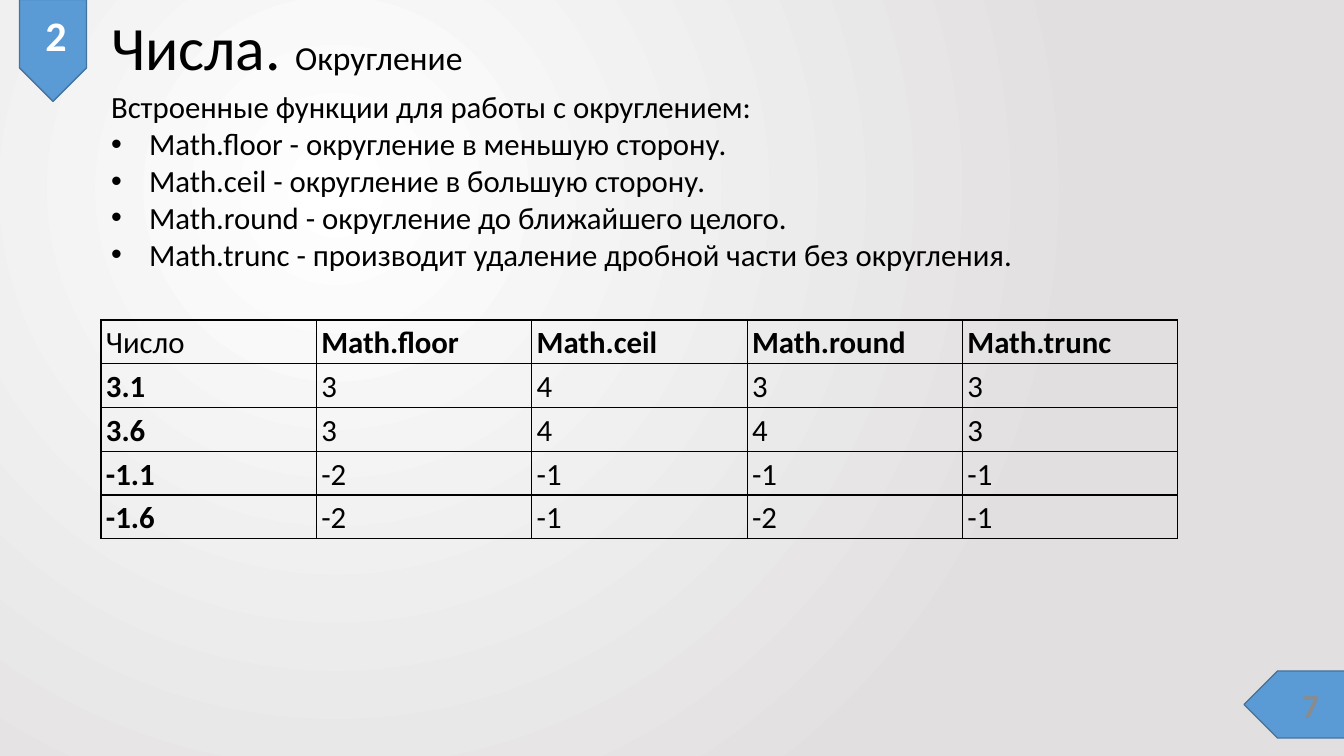
"""Build the slide on rounding functions with its table of results."""
from dataclasses import dataclass

import lxml.etree
import pptx
import pptx.dml.color
import pptx.enum.shapes
import pptx.enum.text
import pptx.oxml
import pptx.oxml.ns
import pptx.util

TITLE = [("Числа. ", "title"), ("Округление", "subtitle")]
INTRO = "Встроенные функции для работы с округлением:"
FUNCTIONS = [
    "Math.floor - округление в меньшую сторону.",
    "Math.ceil - округление в большую сторону.",
    "Math.round - округление до ближайшего целого.",
    "Math.trunc - производит удаление дробной части без округления.",
]
RESULTS = [
    ("Число", "Math.floor", "Math.ceil", "Math.round", "Math.trunc"),
    ("3.1", "3", "4", "3", "3"),
    ("3.6", "3", "4", "4", "3"),
    ("-1.1", "-2", "-1", "-1", "-1"),
    ("-1.6", "-2", "-1", "-2", "-1"),
]
BADGES = [
    {"box": (2, 17, 102, 67), "turn": 90, "label": "2", "label_box": (26, 5, 60, 62),
     "size": "section", "color": "light", "align": "CENTER"},
    {"box": (1244, 671, 102, 67), "turn": 180, "label": "7", "label_box": (1250, 680, 79, 52),
     "size": "number", "color": "muted", "align": "RIGHT"},
]
SLIDE_SIZE = (1344, 756)
TITLE_BOX = (101, 0, 1182, 102)
BODY_BOX = (101, 83, 1204, 197)
TABLE_BOX = (101, 320, 1077, 219)
BULLET_INDENT = 38
CELL_MARGINS = {"margin_left": 5, "margin_top": 2, "margin_right": 17, "margin_bottom": 2}


@dataclass(frozen=True)
class Theme:
    """Colours and type sizes of the slide."""
    font: str = "Calibri"
    text: str = "000000"
    light: str = "FFFFFF"
    muted: str = "8B8B8B"
    shade: str = "E1DFDF"
    badge: str = "5B9BD5"
    outline: str = "43739E"
    title: int = 44
    subtitle: int = 24
    body: int = 22
    section: int = 30
    number: int = 24


THEME = Theme()
ANCHOR = pptx.enum.text.MSO_ANCHOR
ALIGN = pptx.enum.text.PP_ALIGN
NAMESPACE = pptx.oxml.ns.nsdecls("a")


def px(length):
    """Turn slide pixels into EMU."""
    return pptx.util.Emu(round(length * 914400 / 100.8))


def color(name):
    """Look up a theme colour."""
    return pptx.dml.color.RGBColor.from_string(getattr(THEME, name))


def add_span(para, text, size, ink="text", bold=False):
    """Add one formatted run."""
    span = para.add_run()
    span.text = text
    span.font.name = THEME.font
    span.font.size = pptx.util.Pt(getattr(THEME, size))
    span.font.bold = bold
    span.font.color.rgb = color(ink)


def place(shape, box):
    """Move and size a shape."""
    shape.left, shape.top, shape.width, shape.height = map(px, box)


def paint_background(page):
    """Fill the page with a circular gradient."""
    fill = page.background.fill
    fill.gradient()
    for stop, name, position in zip(fill.gradient_stops, ("light", "shade"), (0, 1)):
        stop.color.rgb = color(name)
        stop.position = position
    gradient = page._element.find(".//" + pptx.oxml.ns.qn("a:gradFill"))
    gradient.remove(gradient.find(pptx.oxml.ns.qn("a:lin")))
    gradient.append(pptx.oxml.parse_xml(
        f'<a:path {NAMESPACE} path="circle">'
        '<a:fillToRect l="50000" t="50000" r="100000" b="100000"/></a:path>'))


def add_badge(page, badge):
    """Add a pentagon and its number."""
    shape = page.shapes.add_shape(
        pptx.enum.shapes.MSO_SHAPE.PENTAGON, *map(px, badge["box"]))
    shape.rotation = badge["turn"]
    shape.shadow.inherit = False
    shape.fill.solid()
    shape.fill.fore_color.rgb = color("badge")
    shape.line.color.rgb = color("outline")
    shape.line.width = pptx.util.Pt(1)
    frame = page.shapes.add_textbox(*map(px, badge["label_box"])).text_frame
    frame.word_wrap = True
    para = frame.paragraphs[0]
    para.alignment = ALIGN[badge["align"]]
    add_span(para, badge["label"], badge["size"], badge["color"], True)


def write_title(shape):
    """Fill the title placeholder."""
    place(shape, TITLE_BOX)
    frame = shape.text_frame
    frame.auto_size = pptx.enum.text.MSO_AUTO_SIZE.NONE
    frame.vertical_anchor = ANCHOR.MIDDLE
    para = frame.paragraphs[0]
    para.alignment = ALIGN.LEFT
    para.line_spacing = 0.9
    for text, size in TITLE:
        add_span(para, text, size)


def write_body(shape):
    """Fill the body placeholder with the intro and its bullets."""
    place(shape, BODY_BOX)
    frame = shape.text_frame
    frame.auto_size = pptx.enum.text.MSO_AUTO_SIZE.NONE
    frame.vertical_anchor = ANCHOR.TOP
    for index, text in enumerate([INTRO, *FUNCTIONS]):
        para = frame.add_paragraph() if index else frame.paragraphs[0]
        para.space_before = pptx.util.Pt(0)
        indent = px(BULLET_INDENT) if index else 0
        properties = para._p.get_or_add_pPr()
        properties.set("marL", str(indent))
        properties.set("indent", str(-indent))
        if index:
            properties.append(pptx.oxml.parse_xml(f'<a:buFont {NAMESPACE} typeface="Arial"/>'))
            properties.append(pptx.oxml.parse_xml(f'<a:buChar {NAMESPACE} char="•"/>'))
        else:
            properties.append(pptx.oxml.parse_xml(f"<a:buNone {NAMESPACE}/>"))
        add_span(para, text, "body")


def draw_borders(cell):
    """Outline a cell on all four sides."""
    properties = cell._tc.get_or_add_tcPr()
    for position, side in enumerate(("lnL", "lnR", "lnT", "lnB")):
        properties.insert(position, pptx.oxml.parse_xml(
            f'<a:{side} {NAMESPACE} w="12700"><a:solidFill>'
            f'<a:srgbClr val="{THEME.text}"/></a:solidFill></a:{side}>'))


def add_results(page):
    """Add the table of rounding results."""
    table = page.shapes.add_table(
        len(RESULTS), len(RESULTS[0]), *map(px, TABLE_BOX)).table
    table.first_row = table.horz_banding = False
    for row, values in enumerate(RESULTS):
        for column, value in enumerate(values):
            cell = table.cell(row, column)
            cell.fill.background()
            draw_borders(cell)
            for side, margin in CELL_MARGINS.items():
                setattr(cell, side, px(margin))
            cell.vertical_anchor = ANCHOR.MIDDLE if row else ANCHOR.BOTTOM
            para = cell.text_frame.paragraphs[0]
            para.line_spacing = 1.07
            add_span(para, value, "body", bold=(row == 0) != (column == 0))


def main():
    """Assemble and save the deck."""
    deck = pptx.Presentation()
    deck.slide_width, deck.slide_height = map(px, SLIDE_SIZE)
    page = deck.slides.add_slide(deck.slide_layouts[1])
    paint_background(page)
    for badge in BADGES:
        add_badge(page, badge)
    write_title(page.shapes.title)
    write_body(page.placeholders[1])
    add_results(page)
    deck.save("out.pptx")


if __name__ == "__main__":
    main()
